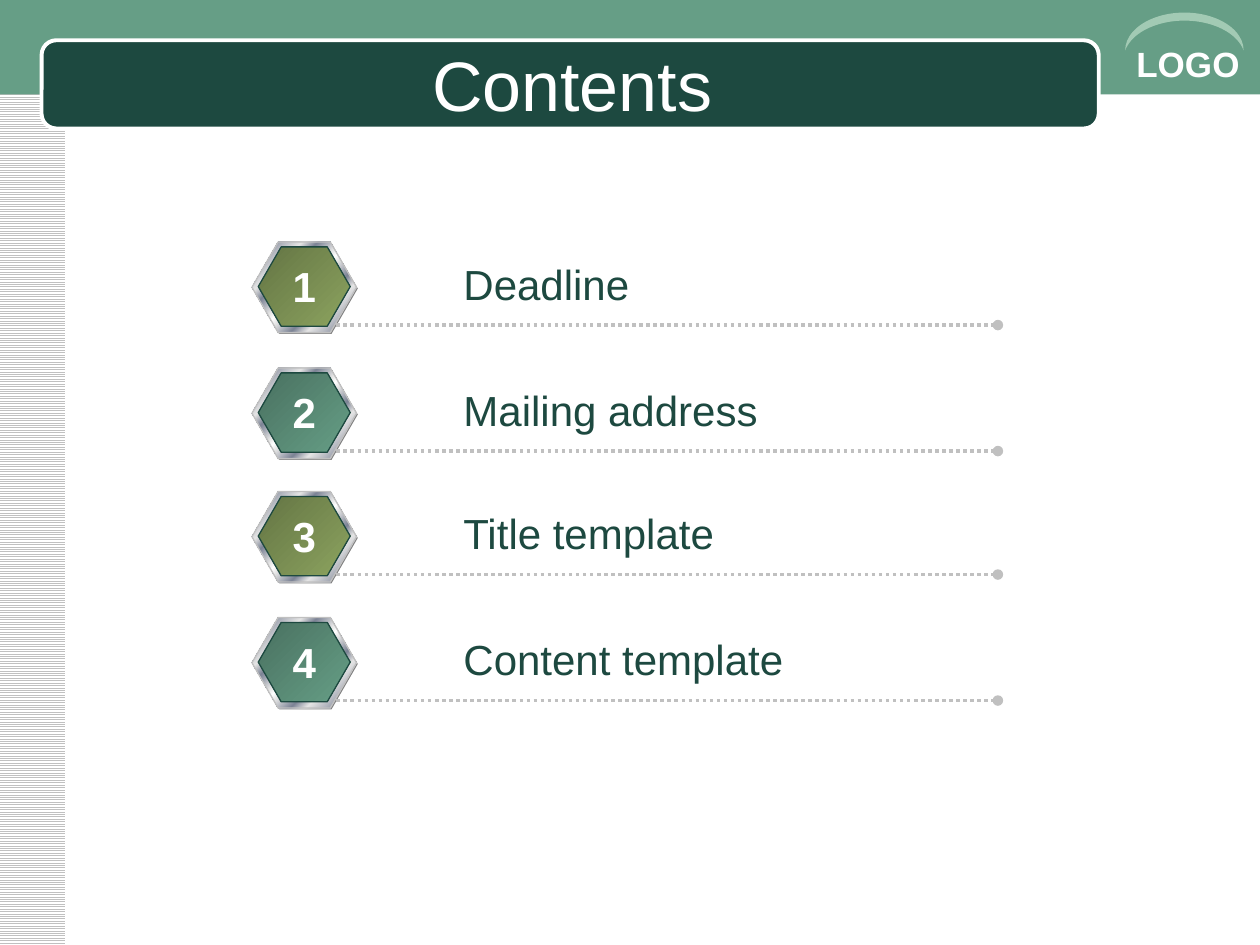
from lxml import etree
from pptx import Presentation
from pptx.dml.color import RGBColor
from pptx.enum.dml import MSO_LINE, MSO_PATTERN
from pptx.enum.shapes import MSO_CONNECTOR, MSO_SHAPE
from pptx.enum.text import MSO_ANCHOR, PP_ALIGN
from pptx.oxml.ns import qn
from pptx.util import Inches, Pt

RECT, ROUND = MSO_SHAPE.RECTANGLE, MSO_SHAPE.ROUNDED_RECTANGLE
HEXAGON, MOON = MSO_SHAPE.HEXAGON, MSO_SHAPE.MOON
STRIPES, DOTS = MSO_PATTERN.LIGHT_HORIZONTAL, MSO_LINE.ROUND_DOT
LEFT, CENTER = PP_ALIGN.LEFT, PP_ALIGN.CENTER
TOP, MIDDLE = MSO_ANCHOR.TOP, MSO_ANCHOR.MIDDLE

COLS, ROWS = 100, 75
CELL = Inches(0.1)
DARK, GREEN, PALE, SILVER, WHITE = "1D4940", "669E86", "A2CAB4", "C0C0C0", "FFFFFF"
METAL = [(0, "E6E6E6"), (7, "7D8496"), (26, "E6E6E6"), (34, "7D8496"),
         (46, "E6E6E6"), (50, "FFFFFF"), (54, "E6E6E6"), (66, "7D8496"),
         (74, "E6E6E6"), (93, "7D8496"), (100, "E6E6E6")]
OLIVE = [(0, "647544"), (100, "8CA35F")]
TEAL = [(0, "497160"), (100, "669E86")]
ITEMS = [(20, "Deadline", OLIVE), (30, "Mailing address", TEAL),
         (39.8, "Title template", OLIVE), (49.8, "Content template", TEAL)]


def rgb(color):
    """Turn a hex string into a colour."""
    return RGBColor.from_string(color)


def cells(*counts):
    """Turn counts of grid cells into lengths."""
    return [int(n * CELL) for n in counts]


def set_gradient(s, stops):
    """Fill a shape with a diagonal gradient of (percent, colour) stops."""
    s.fill.gradient()
    grad = s._element.spPr.find(qn("a:gradFill"))
    stop_list = grad.find(qn("a:gsLst"))
    for gs in list(stop_list):
        stop_list.remove(gs)
    for percent, color in stops:
        gs = etree.SubElement(stop_list, qn("a:gs"), pos=str(percent * 1000))
        etree.SubElement(gs, qn("a:srgbClr"), val=color)
    grad.find(qn("a:lin")).set("ang", str(45 * 60000))


def add_shape(slide, kind, box, fill, line=None, width=0.75, adj=None):
    """Add a preset shape with a solid or gradient fill."""
    s = slide.shapes.add_shape(kind, *cells(*box))
    s.shadow.inherit = False
    if isinstance(fill, str):
        s.fill.solid()
        s.fill.fore_color.rgb = rgb(fill)
    else:
        set_gradient(s, fill)
    if line:
        s.line.color.rgb = rgb(line)
        s.line.width = Pt(width)
    else:
        s.line.fill.background()
    if adj:
        s.adjustments[0] = adj
    return s


def add_text(slide, box, text, size, color, align=LEFT, bold=False, anchor=TOP, wrap=False):
    """Add a one-line text box."""
    tf = slide.shapes.add_textbox(*cells(*box)).text_frame
    tf.word_wrap = wrap
    tf.vertical_anchor = anchor
    p = tf.paragraphs[0]
    p.text = text
    p.alignment = align
    p.font.name = "Arial"
    p.font.size = Pt(size)
    p.font.bold = bold
    p.font.color.rgb = rgb(color)


def add_dotted_line(slide, left, right, row):
    """Add a horizontal dotted line that ends in a dot."""
    c = slide.shapes.add_connector(MSO_CONNECTOR.STRAIGHT, *cells(left, row, right, row))
    c.line.color.rgb = rgb(SILVER)
    c.line.width = Pt(2)
    c.line.dash_style = DOTS
    etree.SubElement(c.line._get_or_add_ln(), qn("a:tailEnd"), type="oval")
    etree.SubElement(c._element.spPr, qn("a:effectLst"))


def add_frame(slide):
    """Add the striped side, the top band, the logo mark and the title."""
    side = add_shape(slide, RECT, (-0.1, 0, 5.3, ROWS), WHITE)
    side.fill.patterned()
    side.fill.pattern = STRIPES
    side.fill.fore_color.rgb = rgb(SILVER)
    side.fill.back_color.rgb = rgb(WHITE)
    add_shape(slide, RECT, (0, 0, COLS, 7.5), GREEN)
    add_shape(slide, ROUND, (3.3, 3.2, 83.9, 7), DARK, WHITE, 2.25, 0.167)
    add_text(slide, (89.2, 2.9, 10.8, 4.3), "LOGO", 20, WHITE, bold=True, wrap=True)
    arc = add_shape(slide, MOON, (92.5, -2.2, 3, 9.4), PALE, adj=0.212)
    arc.rotation = 90
    add_text(slide, (5, 3.5, 80.8, 6.2), "Contents", 40, WHITE, CENTER, anchor=MIDDLE, wrap=True)


def add_item(slide, number, row, label, face):
    """Add one numbered entry of the contents."""
    add_shape(slide, HEXAGON, (20.1, row - 0.7, 8.3, 7.2), "808080", adj=0.289)
    add_shape(slide, HEXAGON, (20, row - 0.8, 8.3, 7.2), METAL, SILVER, adj=0.289)
    add_shape(slide, HEXAGON, (20.5, row - 0.4, 7.3, 6.3), face, DARK, adj=0.289)
    add_dotted_line(slide, 26.7, 79.2, row + 5.8)
    add_text(slide, (35.8, row, 28, 5), label, 24, DARK, wrap=True)
    add_text(slide, (22.2, row + 0.2, 3.9, 5), str(number), 24, WHITE, CENTER, bold=True)


def main():
    """Build the contents slide."""
    prs = Presentation()
    prs.slide_width, prs.slide_height = cells(COLS, ROWS)
    slide = prs.slides.add_slide(prs.slide_layouts[6])
    add_frame(slide)
    for number, (row, label, face) in enumerate(ITEMS, 1):
        add_item(slide, number, row, label, face)
    prs.save("out.pptx")


main()
